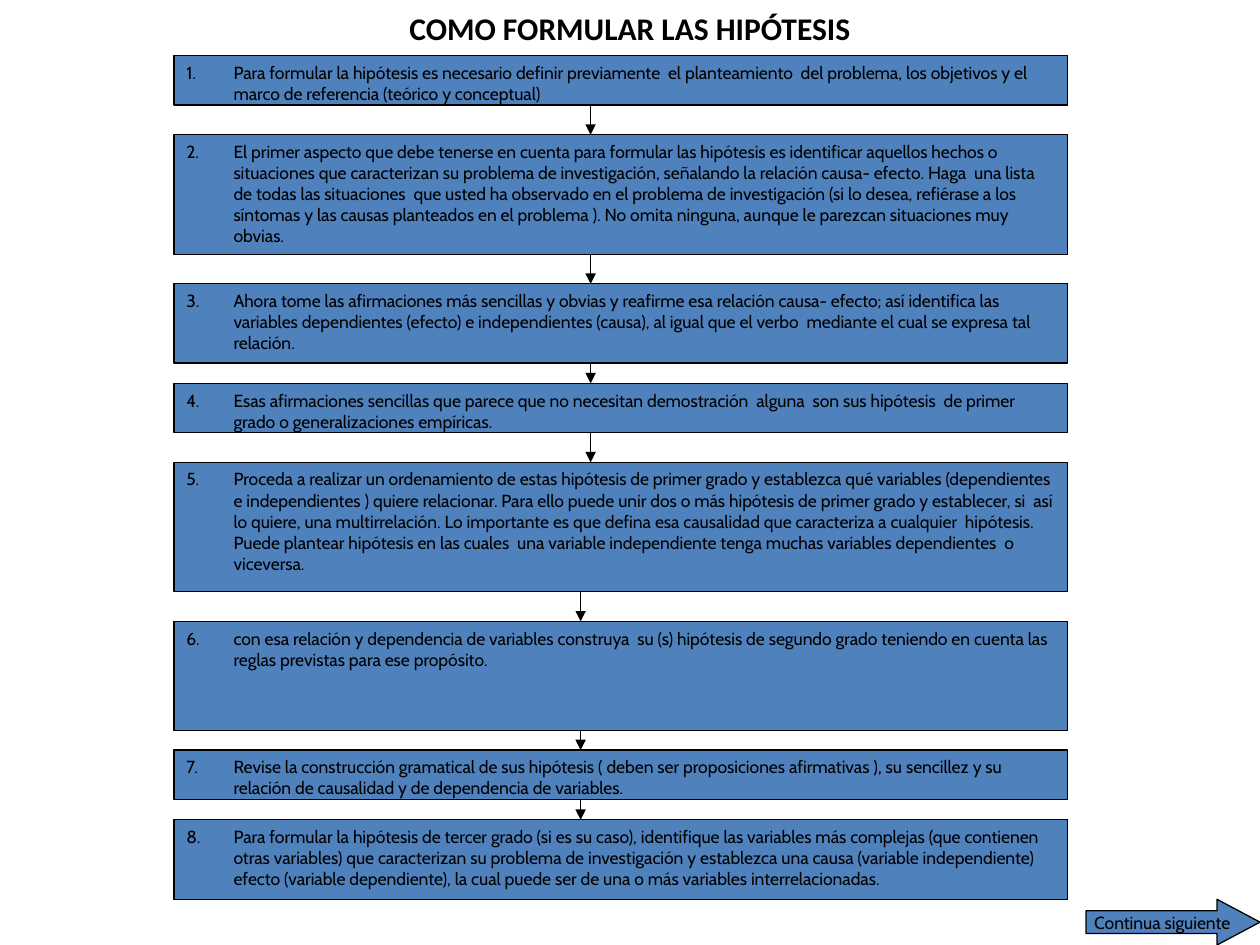
from lxml import etree
from pptx import Presentation, util as u
from pptx.dml import color
from pptx.enum import shapes, text
from pptx.oxml import ns

BLACK, BLUE = "000000", "4F81BD"
STEP_LEFT, STEP_WIDTH = 99.36, 510.48
INDENT = 27
# top, height and wording of each step
STEPS = [
    (31.7, 28.3, "Para formular la hipótesis es necesario definir previamente  el planteamiento  del problema, los objetivos y el marco de referencia (teórico y conceptual)"),
    (77, 68.4, "El primer aspecto que debe tenerse en cuenta para formular las hipótesis es identificar aquellos hechos o situaciones que caracterizan su problema de investigación, señalando la relación causa- efecto. Haga  una lista de todas las situaciones  que usted ha observado en el problema de investigación (si lo desea, refiérase a los síntomas y las causas planteados en el problema ). No omita ninguna, aunque le parezcan situaciones muy obvias."),
    (162.2, 45.3, "Ahora tome las afirmaciones más sencillas y obvias y reafirme esa relación causa- efecto; así identifica las variables dependientes (efecto) e independientes (causa), al igual que el verbo  mediante el cual se expresa tal relación."),
    (219.1, 28.3, "Esas afirmaciones sencillas que parece que no necesitan demostración  alguna  son sus hipótesis  de primer grado o generalizaciones empíricas."),
    (264.2, 73.7, "Proceda a realizar un ordenamiento de estas hipótesis de primer grado y establezca qué variables (dependientes e independientes ) quiere relacionar. Para ello puede unir dos o más hipótesis de primer grado y establecer, si  así lo quiere, una multirrelación. Lo importante es que defina esa causalidad que caracteriza a cualquier  hipótesis. Puede plantear hipótesis en las cuales  una variable independiente tenga muchas variables dependientes  o viceversa."),
    (355.1, 62.2, "con esa relación y dependencia de variables construya  su (s) hipótesis de segundo grado teniendo en cuenta las reglas previstas para ese propósito."),
    (428.6, 28.3, "Revise la construcción gramatical de sus hipótesis ( deben ser proposiciones afirmativas ), su sencillez y su relación de causalidad y de dependencia de variables."),
    (468.5, 45.4, "Para formular la hipótesis de tercer grado (si es su caso), identifique las variables más complejas (que contienen otras variables) que caracterizan su problema de investigación y establezca una causa (variable independiente) efecto (variable dependiente), la cual puede ser de una o más variables interrelacionadas."),
]


def rgb(value):
    return color.RGBColor.from_string(value)


def add_xml(parent, tag, **attributes):
    return etree.SubElement(parent, ns.qn(tag), attributes)


class FlowSlide:
    body = {"name": "Cabin", "size": u.Pt(10), "bold": False}
    heading = {"name": "Calibri", "size": u.Pt(18), "bold": True}

    def __init__(self, presentation):
        self.slide = presentation.slides.add_slide(presentation.slide_layouts[6])

    def put_words(self, shape, words, style, frame_format, align):
        frame = shape.text_frame
        for key, value in frame_format.items():
            setattr(frame, key, value)
        paragraph = frame.paragraphs[0]
        paragraph.alignment = align
        run = paragraph.add_run()
        run.text = words
        for key, value in style.items():
            setattr(run.font, key, value)
        run.font.color.rgb = rgb(BLACK)
        return paragraph

    def title(self, words, *place):
        box = self.slide.shapes.add_textbox(*map(u.Pt, place))
        self.put_words(box, words, self.heading, {"word_wrap": True}, text.PP_ALIGN.CENTER)

    def block(self, preset, *place):
        shape = self.slide.shapes.add_shape(preset, *map(u.Pt, place))
        shape.shadow.inherit = False
        shape.fill.solid()
        shape.fill.fore_color.rgb = rgb(BLUE)
        shape.line.color.rgb = rgb(BLACK)
        shape.line.width = u.Pt(0.75)
        return shape

    def step(self, number, words, top, height):
        shape = self.block(shapes.MSO_SHAPE.RECTANGLE, STEP_LEFT, top, STEP_WIDTH, height)
        frame_format = {"word_wrap": True, "vertical_anchor": text.MSO_ANCHOR.TOP}
        paragraph = self.put_words(shape, words, self.body, frame_format, text.PP_ALIGN.LEFT)
        # automatic number with a hanging indent
        properties = paragraph._p.get_or_add_pPr()
        properties.set("marL", str(u.Pt(INDENT)))
        properties.set("indent", str(-u.Pt(INDENT)))
        add_xml(add_xml(properties, "a:buClr"), "a:srgbClr", val=BLACK)
        add_xml(properties, "a:buAutoNum", type="arabicPeriod", startAt=str(number))

    def next_sign(self, words, *place):
        shape = self.block(shapes.MSO_SHAPE.RIGHT_ARROW, *place)
        shape.adjustments[0], shape.adjustments[1] = 0.5, 0.94
        frame_format = {"word_wrap": False, "vertical_anchor": text.MSO_ANCHOR.MIDDLE}
        self.put_words(shape, words, self.body, frame_format, text.PP_ALIGN.CENTER)

    def arrow(self, x, start, end):
        line = self.slide.shapes.add_connector(
            shapes.MSO_CONNECTOR.STRAIGHT, *map(u.Pt, (x, start, x, end)))
        line.line.color.rgb = rgb(BLACK)
        line.line.width = u.Pt(0.75)
        add_xml(line.line._get_or_add_ln(), "a:tailEnd", type="triangle")
        add_xml(line._element.spPr, "a:effectLst")


def main():
    presentation = Presentation()
    presentation.slide_width, presentation.slide_height = u.Pt(720), u.Pt(540)
    flow = FlowSlide(presentation)

    # Heading
    flow.title("COMO FORMULAR LAS HIPÓTESIS", 36, 1.4, 648, 43.2)

    # Numbered steps
    for number, (top, height, words) in enumerate(STEPS, 1):
        flow.step(number, words, top, height)

    # Sign to the next slide
    flow.next_sign("Continua siguiente", 620.6, 513.9, 99.4, 26.1)

    # Arrows fill the gaps between steps; the last three sit further left
    for index, (step, following) in enumerate(zip(STEPS, STEPS[1:])):
        flow.arrow(337.5 if index < 4 else 331.8, step[0] + step[1], following[0])

    presentation.save("out.pptx")


if __name__ == "__main__":
    main()
